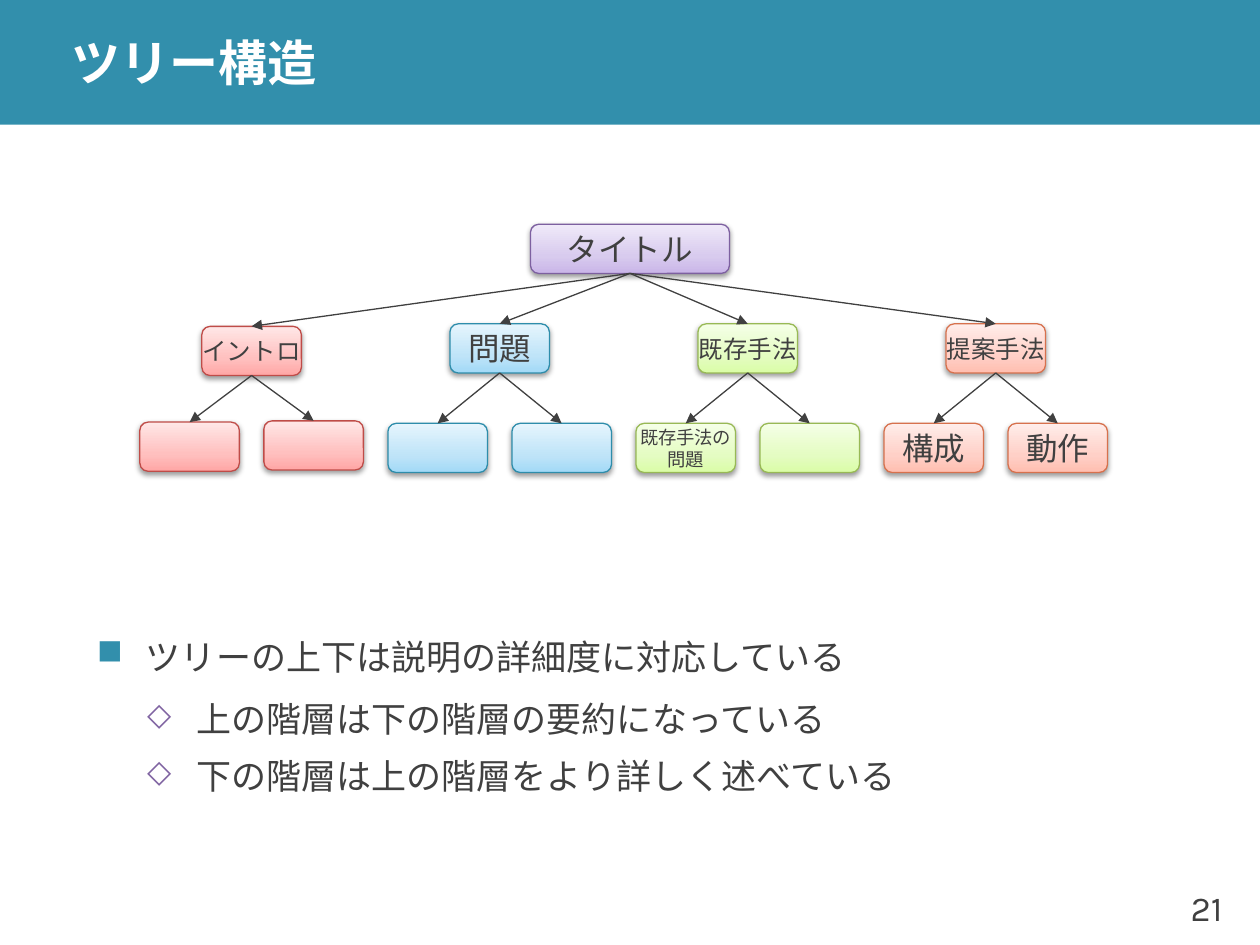
from pptx import Presentation
from pptx import util as u
from pptx.dml.color import RGBColor
from pptx.enum import shapes, text
from pptx.oxml import parse_xml
from pptx.oxml.ns import nsdecls, qn
from pptx.util import Inches

COLORS = {"teal": "328FAC", "white": "FFFFFF", "text": "404040", "purple": "8064A2"}
THEMES = {
    "purple": ("7D60A0", "C9B5E8", "D8CBEE", "F0EAF9"),
    "red": ("BF4C48", "FFA6A5", "FFC0BF", "FFE7E7"),
    "blue": ("2E8DAB", "A2D9F7", "BFE4F8", "E6F5FD"),
    "green": ("98B955", "DAFDA7", "E4FCC2", "F5FFE7"),
    "orange": ("D7714D", "FFBEB0", "FFD0C7", "FFEDEA"),
}
CJK = "Noto Sans CJK JP"
NODE_W, NODE_H = 0.79, 0.39
BRANCHES = [
    ("red", 0.81, ("イントロ", 14), [("", 18, 1.57), ("", 18, 1.56)]),
    ("blue", 0.79, ("問題", 18), [("", 18, 1.58), ("", 18, 1.58)]),
    ("green", 0.79, ("既存手法", 14), [("既存手法の\n問題", 10.5, 1.58), ("", 18, 1.58)]),
    ("orange", 0.79, ("提案手法", 14), [("構成", 18, 1.58), ("動作", 18, 1.58)]),
]
BULLETS = [
    ("ツリーの上下は説明の詳細度に対応している", 0),
    ("上の階層は下の階層の要約になっている", 1),
    ("下の階層は上の階層をより詳しく述べている", 1),
]
LEVELS = [
    dict(indent=0.39, before=24, after=6, char="■", color="teal", size=100),
    dict(indent=0.79, before=3, after=3, char="◇", color="purple", size=90),
]


def rgb(value):
    """Turn a hex string into a colour."""
    return RGBColor.from_string(value)


def xml(body):
    """Parse an element in the drawing namespace."""
    tag, rest = body[:-2].split(" ", 1) if body.endswith("/>") and body.count("<") == 1 else body.split(">", 1)
    if body.count("<") == 1:
        return parse_xml(f"{tag} {nsdecls('a')} {rest}/>")
    return parse_xml(f"{tag} {nsdecls('a')}>{rest}")


def add_text(p, content, size=20, color="text", font="Karla", bold=False):
    """Add a formatted run to a paragraph."""
    r = p.add_run()
    r.text = content
    r.font.size, r.font.bold, r.font.name = u.Pt(size), bold, font
    r.font.color.rgb = rgb(COLORS[color])
    r.font._element.find(qn("a:latin")).addnext(xml(f'<a:ea typeface="{CJK}"/>'))


def add_box(slide, box):
    """Add a wrapping, vertically centred text box and return its frame."""
    tf = slide.shapes.add_textbox(*map(Inches, box)).text_frame
    tf.word_wrap = True
    tf.vertical_anchor = text.MSO_ANCHOR.MIDDLE
    return tf


def add_header(slide, box):
    """Draw the title band."""
    x, y, w, h = box
    s = slide.shapes.add_shape(shapes.MSO_SHAPE.RECTANGLE, *map(Inches, box))
    s.shadow.inherit = False
    s.fill.solid()
    s.fill.fore_color.rgb = rgb(COLORS["teal"])
    s.line.fill.background()
    tf = add_box(slide, (x + 0.47, y, w - 0.47, h))
    tf.margin_top = tf.margin_bottom = 0
    add_text(tf.paragraphs[0], "ツリー構造", size=28, color="white", bold=True)


def add_node(slide, box, theme, content, size):
    """Draw one rounded tree node with gradient and shadow."""
    edge, *stops = THEMES[theme]
    s = slide.shapes.add_shape(shapes.MSO_SHAPE.ROUNDED_RECTANGLE, *map(Inches, box))
    s.line.color.rgb, s.line.width = rgb(edge), u.Pt(0.75)
    s.shadow.inherit = False
    gs = "".join(f'<a:gs pos="{pos}000"><a:srgbClr val="{c}"/></a:gs>'
                 for pos, c in zip((0, 35, 100), stops))
    sp = s._element.spPr
    sp.find(qn("a:ln")).addprevious(xml(
        f'<a:gradFill><a:gsLst>{gs}</a:gsLst><a:lin ang="16200000" scaled="0"/></a:gradFill>'))
    shadow = parse_xml(
        f'<a:outerShdw {nsdecls("a")} blurRad="{u.Pt(3.1)}" dist="{u.Pt(1.6)}" dir="5400000" rotWithShape="0">'
        '<a:srgbClr val="000000"><a:alpha val="38000"/></a:srgbClr></a:outerShdw>')
    sp.find(qn("a:effectLst")).append(shadow)
    tf = s.text_frame
    tf.word_wrap = False
    tf.vertical_anchor = text.MSO_ANCHOR.MIDDLE
    for i, line in enumerate(content.split("\n") if content else []):
        p = tf.add_paragraph() if i else tf.paragraphs[0]
        p.alignment = text.PP_ALIGN.CENTER
        add_text(p, line, size=size, font=CJK)
    return s


def add_arrow(slide, parent, child):
    """Join a parent's bottom to a child's top with an arrow."""
    s = slide.shapes.add_connector(shapes.MSO_CONNECTOR.STRAIGHT, 0, 0, 0, 0)
    s.begin_connect(parent, 2)
    s.end_connect(child, 0)
    s.line.color.rgb, s.line.width = rgb(COLORS["text"]), u.Pt(0.75)
    s.line._get_or_add_ln().append(xml('<a:tailEnd type="triangle"/>'))
    s._element.spPr.append(parse_xml(f"<a:effectLst {nsdecls('a')}/>"))


def add_tree(slide, box):
    """Draw the root, its branches and their leaves."""
    x, y, w, h = box
    leaf_pitch = (w - NODE_W) / (2 * len(BRANCHES) - 1)
    root = add_node(slide, (4.21, y, 2 * NODE_W, NODE_H), "purple", "タイトル", 18)
    for i, (theme, dy, label, leaves) in enumerate(BRANCHES):
        left = x + 2 * i * leaf_pitch
        branch = add_node(slide, (left + leaf_pitch / 2, y + dy, NODE_W, NODE_H), theme, *label)
        add_arrow(slide, root, branch)
        for j, (content, size, leaf_dy) in enumerate(leaves):
            leaf_box = (left + j * leaf_pitch, y + leaf_dy, NODE_W, NODE_H)
            add_arrow(slide, branch, add_node(slide, leaf_box, theme, content, size))


def add_bullets(slide, box):
    """Write the bulleted explanation."""
    tf = add_box(slide, box)
    for i, (content, level) in enumerate(BULLETS):
        fmt = LEVELS[level]
        p = tf.add_paragraph() if i else tf.paragraphs[0]
        p.level, p.line_spacing = level, 1.1
        p.space_before, p.space_after = u.Pt(fmt["before"]), u.Pt(fmt["after"])
        pPr = p._p.get_or_add_pPr()
        pPr.set("marL", str(Inches(fmt["indent"])))
        pPr.set("indent", str(Inches(-0.39)))
        pPr.append(xml(f'<a:buClr><a:srgbClr val="{COLORS[fmt["color"]]}"/></a:buClr>'))
        pPr.append(xml(f'<a:buSzPct val="{fmt["size"]}000"/>'))
        pPr.append(xml(f'<a:buChar char="{fmt["char"]}"/>'))
        add_text(p, content)


def add_page_number(slide, box):
    """Write the page number."""
    p = add_box(slide, box).paragraphs[0]
    p.alignment = text.PP_ALIGN.RIGHT
    add_text(p, "21")


def main():
    """Build and save the slide."""
    prs = Presentation()
    prs.slide_width, prs.slide_height = Inches(10), Inches(7.5)
    slide = prs.slides.add_slide(prs.slide_layouts[6])
    add_header(slide, (0, 0, 10, 0.99))
    add_page_number(slide, (9.13, 6.9, 0.67, 0.6))
    add_bullets(slide, (0.67, 4.24, 9.06, 2.85))
    add_tree(slide, (1.11, 1.78, 7.68, 1.97))
    prs.save("out.pptx")


if __name__ == "__main__":
    main()
